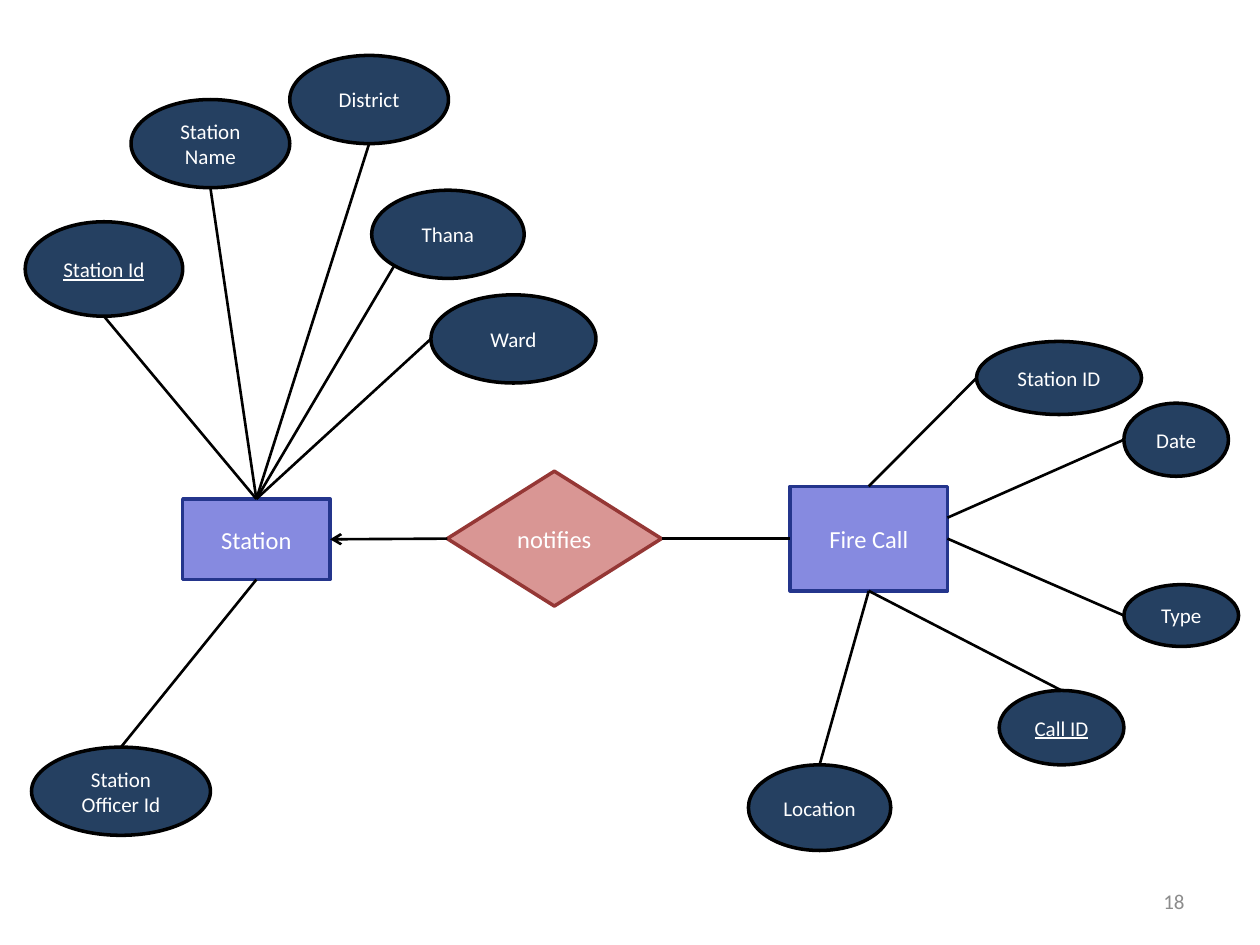
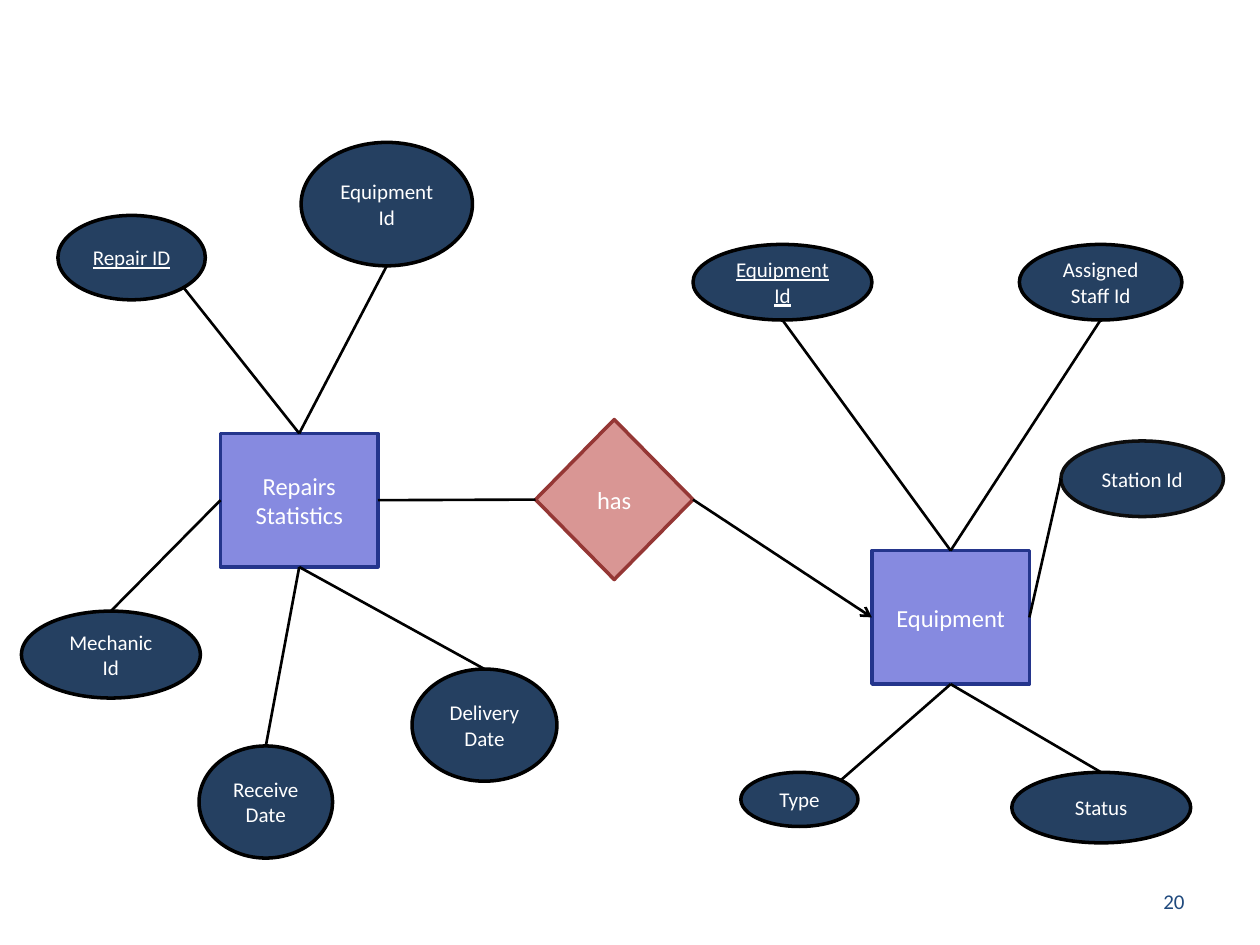
from lxml.etree import SubElement
from pptx import Presentation
from pptx.dml.color import RGBColor
from pptx.enum.shapes import MSO_CONNECTOR, MSO_SHAPE
from pptx.enum.text import MSO_ANCHOR, PP_ALIGN
from pptx.oxml.ns import qn
from pptx.util import Inches, Pt

HUES = {
    "white": "FFFFFF", "black": "000000", "ink": "0D0D0D",
    "navy": "254061", "lilac": "868AE0", "blue": "24358C",
    "rose": "D99694", "red": "953735", "gray": "8C8C8C", "deep": "1F497D",
}
KINDS = {
    "entity": (MSO_SHAPE.RECTANGLE, "lilac", "blue", 14),
    "link": (MSO_SHAPE.FLOWCHART_DECISION, "rose", "red", 14),
    "field": (MSO_SHAPE.OVAL, "navy", "black", 12),
}
SPOTS = {
    "top": (0.5, 0), "left": (0, 0.5), "bottom": (0.5, 1), "right": (1, 0.5),
    "low left": (0.15, 0.85), "low right": (0.85, 0.85),
    "high right": (0.85, 0.15), "upper right": (1, 0.3),
}
SITES = {"top": 0, "left": 1, "bottom": 2, "right": 3}


def shade(hue):
    return RGBColor.from_string(HUES[hue])


def assign(target, values):
    for name, value in values.items():
        setattr(target, name, value)


def write(shape, text, size, hue, align, key=False):
    frame = shape.text_frame
    frame.text = text
    assign(frame, {"word_wrap": True, "vertical_anchor": MSO_ANCHOR.MIDDLE})
    par = frame.paragraphs[0]
    par.alignment = align
    for run in par.runs:
        assign(run.font, {"name": "Calibri", "size": Pt(size), "underline": key})
        run.font.color.rgb = shade(hue)


def draw(slide, kind, text, box, key=False, edge=None):
    form, fill, rim, size = KINDS[kind]
    shape = slide.shapes.add_shape(form, *map(Inches, box))
    shape.shadow.inherit = False
    shape.fill.solid()
    shape.fill.fore_color.rgb = shade(fill)
    shape.line.color.rgb = shade(edge or rim)
    shape.line.width = Pt(2)
    write(shape, text, size, "white", PP_ALIGN.CENTER, key)
    return shape


def point(shape, spot):
    across, down = SPOTS[spot]
    return (int(shape.left + across * shape.width),
            int(shape.top + down * shape.height))


def join(slide, start, leave, end, reach, arrow=False):
    line = slide.shapes.add_connector(
        MSO_CONNECTOR.STRAIGHT, *point(start, leave), *point(end, reach))
    line.line.color.rgb = shade("black")
    line.line.width = Pt(1.5)
    for glue, shape, spot in ((line.begin_connect, start, leave),
                              (line.end_connect, end, reach)):
        if spot in SITES and shape.auto_shape_type != MSO_SHAPE.OVAL:
            glue(shape, SITES[spot])
    if arrow:
        SubElement(line.line._get_or_add_ln(), qn("a:tailEnd"), type="arrow")
    SubElement(line._element.spPr, qn("a:effectLst"))


def cluster(slide, name, box, fields):
    left, top = box[:2]
    entity = draw(slide, "entity", name, box)
    for text, (right, down, width, height), leave, reach, *style in fields:
        place = (left + right, top + down, width, height)
        field = draw(slide, "field", text, place, *style)
        join(slide, field, leave, entity, reach)
    return entity


def relate(slide, text, box, first, last, head):
    link = draw(slide, "link", text, box)
    join(slide, link, "left", first, "right", head == "first")
    join(slide, link, "right", last, "left", head == "last")


def number(slide, text, hue):
    box = slide.shapes.add_textbox(*map(Inches, (7.17, 6.95, 2.33, 0.4)))
    write(box, text, 12, hue, PP_ALIGN.RIGHT)


def calls(slide):
    station = cluster(slide, "Station", (1.45, 3.96, 1.17, 0.64), [
        ("Station Id", (-1.25, -2.2, 1.25, 0.75), "bottom", "top", True),
        ("Ward", (1.97, -1.62, 1.31, 0.7), "left", "top"),
        ("District", (0.85, -3.52, 1.26, 0.7), "bottom", "top"),
        ("Station Name", (-0.41, -3.17, 1.26, 0.7), "bottom", "top"),
        ("Thana", (1.5, -2.45, 1.21, 0.7), "low left", "top"),
        ("Station Officer Id", (-1.2, 1.97, 1.42, 0.7), "top", "bottom"),
    ])
    call = cluster(slide, "Fire Call", (6.27, 3.86, 1.25, 0.83), [
        ("Type", (2.65, 0.78, 0.91, 0.49), "left", "right"),
        ("Date", (2.65, -0.66, 0.83, 0.58), "left", "upper right"),
        ("Location", (-0.33, 2.21, 1.13, 0.68), "top", "bottom"),
        ("Call ID", (1.66, 1.62, 0.99, 0.59), "top", "bottom", True),
        ("Station ID", (1.48, -1.15, 1.31, 0.58), "left", "top"),
    ])
    relate(slide, "notifies", (3.55, 3.74, 1.7, 1.07), station, call, "first")
    number(slide, "18", "gray")


def repairs(slide):
    repair = cluster(slide, "Repairs\vStatistics", (1.75, 3.44, 1.25, 1.06), [
        ("Receive Date", (-0.17, 2.48, 1.06, 0.89), "top", "bottom"),
        ("Repair ID", (-1.29, -1.73, 1.17, 0.67), "low right", "top", True),
        ("Delivery Date", (1.52, 1.87, 1.15, 0.89), "top", "bottom"),
        ("Mechanic Id", (-1.58, 1.41, 1.42, 0.69), "top", "left"),
        ("Equipment Id", (0.64, -2.31, 1.36, 0.98), "bottom", "top"),
    ])
    item = cluster(slide, "Equipment", (6.92, 4.37, 1.25, 1.06), [
        ("Type", (-1.04, 1.76, 0.93, 0.43), "high right", "bottom"),
        ("Status", (1.11, 1.76, 1.42, 0.56), "top", "bottom"),
        ("Assigned Staff Id", (1.17, -2.43, 1.29, 0.6), "bottom", "top"),
        ("Equipment Id", (-1.42, -2.43, 1.42, 0.6), "bottom", "top", True),
        ("Station Id", (1.5, -0.87, 1.29, 0.6), "left", "right", False, "ink"),
    ])
    relate(slide, "has", (4.25, 3.33, 1.25, 1.27), repair, item, "last")
    number(slide, "20", "deep")


def main():
    deck = Presentation()
    assign(deck, {"slide_width": Inches(10), "slide_height": Inches(7.5)})
    for build in (calls, repairs):
        build(deck.slides.add_slide(deck.slide_layouts[6]))
    deck.save("out.pptx")


if __name__ == "__main__":
    main()
